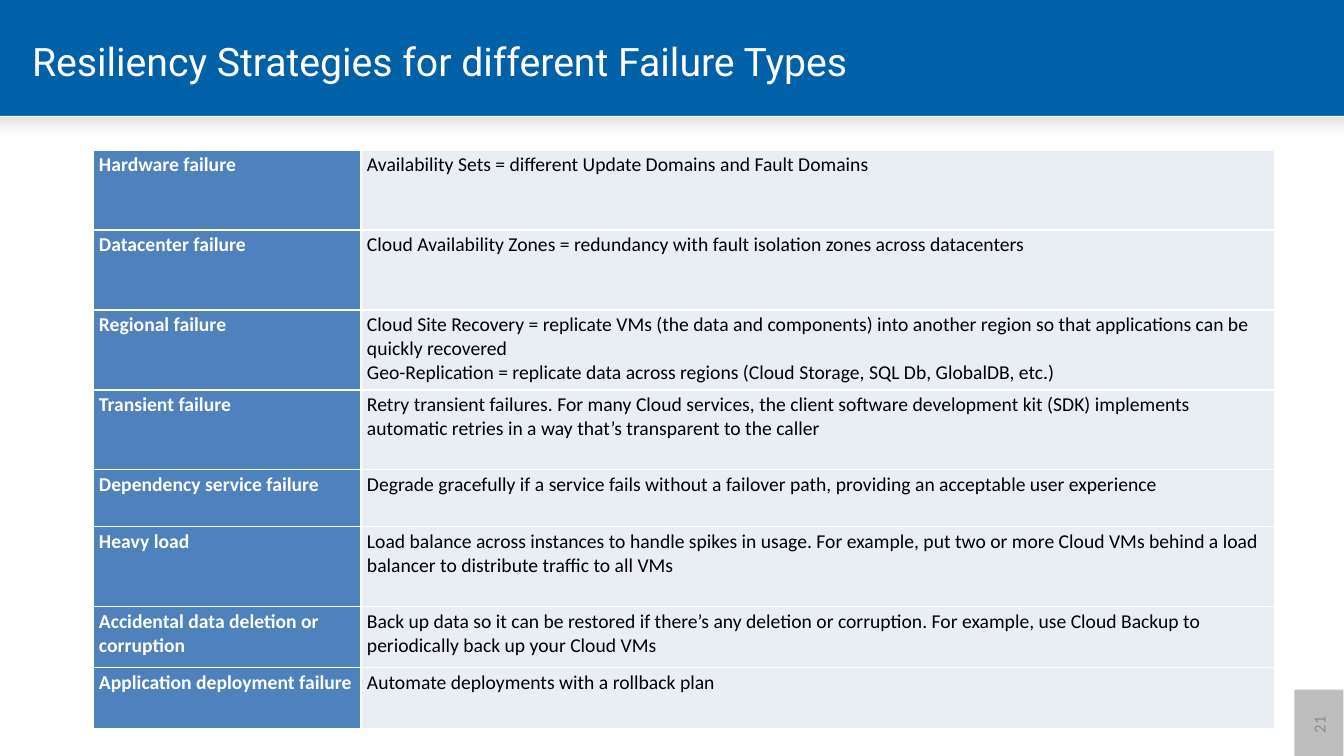
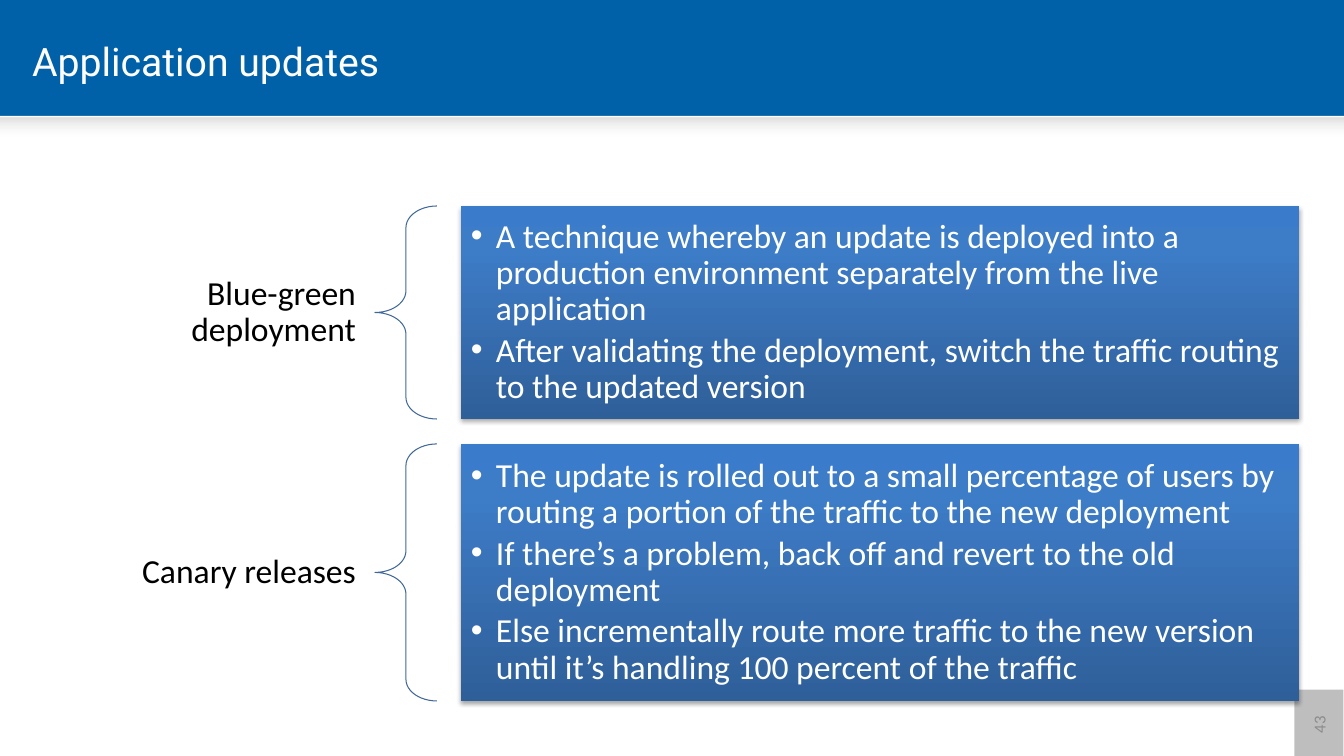
from lxml.etree import SubElement as sub
from pptx import Presentation
from pptx.dml.color import RGBColor as RGB
from pptx.enum.shapes import MSO_SHAPE as SHAPE
from pptx.enum.text import MSO_ANCHOR as ANCHOR, PP_ALIGN as ALIGN
from pptx.oxml.ns import qn
from pptx.util import Emu, Pt

BLUE = RGB(0x00, 0x60, 0xA8)
WHITE = RGB(0xFF, 0xFF, 0xFF)
BLACK = RGB(0x00, 0x00, 0x00)
PALE = RGB(0xE3, 0xE3, 0xE3)
GREY = RGB(0x7F, 0x7F, 0x7F)
FAINT = RGB(0x8C, 0x8C, 0x8C)
HEAD = RGB(0x4F, 0x81, 0xBD)
CELL = RGB(0xE9, 0xED, 0xF4)
BRACE = RGB(0x3F, 0x67, 0x97)
DEEP = RGB(0x2F, 0x5F, 0x99)
MID = RGB(0x3D, 0x7C, 0xC7)
LIGHT = RGB(0x3A, 0x7C, 0xCB)

BODY, TITLE = "Calibri", "Roboto"
WIDE, HIGH = 1344, 756

FAILS = [
    (80, "Hardware failure",
     "Availability Sets = different Update Domains and Fault Domains"),
    (80, "Datacenter failure",
     "Cloud Availability Zones = redundancy with fault isolation zones across datacenters"),
    (80, "Regional failure",
     "Cloud Site Recovery = replicate VMs (the data and components) into another region "
     "so that applications can be quickly recovered\n"
     "Geo-Replication = replicate data across regions (Cloud Storage, SQL Db, GlobalDB, etc.)"),
    (80, "Transient failure",
     "Retry transient failures. For many Cloud services, the client software development "
     "kit (SDK) implements automatic retries in a way that’s transparent to the caller"),
    (57, "Dependency service failure",
     "Degrade gracefully if a service fails without a failover path, providing an "
     "acceptable user experience"),
    (80, "Heavy load",
     "Load balance across instances to handle spikes in usage. For example, put two or "
     "more Cloud VMs behind a load balancer to distribute traffic to all VMs"),
    (61, "Accidental data deletion or corruption",
     "Back up data so it can be restored if there’s any deletion or corruption. For "
     "example, use Cloud Backup to periodically back up your Cloud VMs"),
    (61, "Application deployment failure", "Automate deployments with a rollback plan"),
]

PLANS = [
    (213, "Blue-green deployment", [
        "A technique whereby an update is deployed into a production environment "
        "separately from the live application",
        "After validating the deployment, switch the traffic routing to the updated version",
    ]),
    (257, "Canary releases", [
        "The update is rolled out to a small percentage of users by routing a portion of "
        "the traffic to the new deployment",
        "If there’s a problem, back off and revert to the old deployment",
        "Else incrementally route more traffic to the new version until it’s handling "
        "100 percent of the traffic",
    ]),
]


def px(n):
    return Emu(round(n * 9144 / 1.008))


def style(para, size, color, font=BODY, bold=False):
    face = para.font
    face.name, face.size, face.bold = font, Pt(size), bold
    face.color.rgb = color


def inset(frame, side, edge):
    frame.margin_left = frame.margin_right = px(side)
    frame.margin_top = frame.margin_bottom = px(edge)


def tint(node, color, alpha=100):
    """Append an RGB colour with an opacity in percent."""
    rgb = sub(node, qn("a:srgbClr"), val=str(color))
    if alpha < 100:
        sub(rgb, qn("a:alpha"), val=str(alpha * 1000))


def blend(shape, angle, stops):
    """Fill with a gradient of (position, colour, opacity) stops."""
    shape.fill.gradient()
    grad = shape.fill._xPr.find(qn("a:gradFill"))
    for node in list(grad):
        grad.remove(node)
    row = sub(grad, qn("a:gsLst"))
    for pos, color, alpha in stops:
        tint(sub(row, qn("a:gs"), pos=str(pos * 1000)), color, alpha)
    sub(grad, qn("a:lin"), ang=str(angle * 60000), scaled="0")


def plain(slide, kind, x, y, w, h, fill=None):
    """Add a preset shape without line or shadow."""
    shape = slide.shapes.add_shape(kind, px(x), px(y), px(w), px(h))
    shape.shadow.inherit = False
    shape.line.fill.background()
    if fill is None:
        shape.fill.background()
    else:
        shape.fill.solid()
        shape.fill.fore_color.rgb = fill
    return shape


def start(deck, title, page):
    """Add a slide with its title, white body and page number."""
    slide = deck.slides.add_slide(deck.slide_layouts[5])
    head = slide.shapes.title
    head.left, head.top, head.width, head.height = map(px, (22, 17, 1144, 88))
    head.text = title
    head.text_frame.vertical_anchor = ANCHOR.MIDDLE
    para = head.text_frame.paragraphs[0]
    para.alignment = ALIGN.LEFT
    style(para, 28, WHITE, TITLE)

    plain(slide, SHAPE.RECTANGLE, 0, 116, WIDE, HIGH - 116, WHITE)
    shade = plain(slide, SHAPE.RECTANGLE, 0, 118, WIDE, 42)
    blend(shade, 90, [(0, BLACK, 13), (48, PALE, 0), (66, WHITE, 0)])

    badge = plain(slide, SHAPE.RECTANGLE, 1284, 700, 70, 49, GREY)
    rgb = badge.fill._xPr.find(qn("a:solidFill"))[0]
    sub(rgb, qn("a:alpha"), val="50000")
    badge.rotation = 270
    frame = badge.text_frame
    frame.text = str(page)
    frame.vertical_anchor = ANCHOR.MIDDLE
    frame.paragraphs[0].alignment = ALIGN.CENTER
    style(frame.paragraphs[0], 12, FAINT)
    return slide


def border(cell):
    props = cell._tc.get_or_add_tcPr()
    for side in ("lnL", "lnR", "lnT", "lnB"):
        line = sub(props, qn("a:" + side), w=str(Pt(1)))
        tint(sub(line, qn("a:solidFill")), WHITE)


def grid(slide, rows, x, y, cols):
    high = sum(row[0] for row in rows)
    table = slide.shapes.add_table(len(rows), len(cols), px(x), px(y),
                                   px(sum(cols)), px(high)).table
    table.first_row = table.horz_banding = False
    for col, wide in zip(table.columns, cols):
        col.width = px(wide)
    looks = [(HEAD, WHITE, True), (CELL, BLACK, False)]
    for row, (tall, *texts) in zip(table.rows, rows):
        row.height = px(tall)
        for cell, text, (fill, color, bold) in zip(row.cells, texts, looks):
            border(cell)
            cell.fill.solid()
            cell.fill.fore_color.rgb = fill
            inset(cell, 6, 3)
            cell.text = text
            for para in cell.text_frame.paragraphs:
                style(para, 14, color, bold=bold)


def label(slide, text, x, y, w, h):
    frame = slide.shapes.add_textbox(px(x), px(y), px(w), px(h)).text_frame
    frame.word_wrap = True
    frame.vertical_anchor = ANCHOR.MIDDLE
    inset(frame, 19, 7)
    frame.text = text
    para = frame.paragraphs[0]
    para.alignment = ALIGN.RIGHT
    para.line_spacing = 0.9
    style(para, 24, BLACK)


def brace(slide, x, y, w, h):
    shape = plain(slide, SHAPE.LEFT_BRACE, x, y, w, h)
    shape.adjustments[0] = 0.35
    shape.line.color.rgb = BRACE
    shape.line.width = Pt(0.75)


def bullet(para):
    props = para._p.get_or_add_pPr()
    props.set("marL", str(px(25)))
    props.set("indent", str(-px(25)))
    sub(props, qn("a:buFont"), typeface="Arial")
    sub(props, qn("a:buChar"), char="•")


def panel(slide, items, x, y, w, h):
    """Add a shaded box with a bulleted list."""
    shape = plain(slide, SHAPE.RECTANGLE, x, y, w, h)
    blend(shape, 270, [(0, DEEP, 100), (80, MID, 100), (100, LIGHT, 100)])
    glow = sub(shape._element.spPr.find(qn("a:effectLst")), qn("a:outerShdw"),
               blurRad=str(Pt(3.1)), dist=str(Pt(1.8)), dir="5400000", rotWithShape="0")
    tint(glow, BLACK, 35)
    frame = shape.text_frame
    frame.word_wrap = True
    frame.vertical_anchor = ANCHOR.MIDDLE
    inset(frame, 10, 10)
    frame.text = "\n".join(items)
    for para in frame.paragraphs:
        bullet(para)
        para.alignment = ALIGN.LEFT
        para.line_spacing = 0.9
        para.space_after = Pt(3.6)
        style(para, 24, WHITE)


def main():
    deck = Presentation()
    deck.slide_width, deck.slide_height = px(WIDE), px(HIGH)
    back = deck.slide_layouts[5].background.fill
    back.solid()
    back.fore_color.rgb = BLUE

    slide = start(deck, "Resiliency Strategies for different Failure Types", 21)
    grid(slide, FAILS, 93, 150, (268, 914))

    slide = start(deck, "Application updates", 43)
    top, gap = 206, 25
    for high, name, items in PLANS:
        label(slide, name, 67, top, 308, high)
        brace(slide, 375, top, 62, high)
        panel(slide, items, 461, top, 838, high)
        top += high + gap

    deck.save("out.pptx")


if __name__ == "__main__":
    main()
